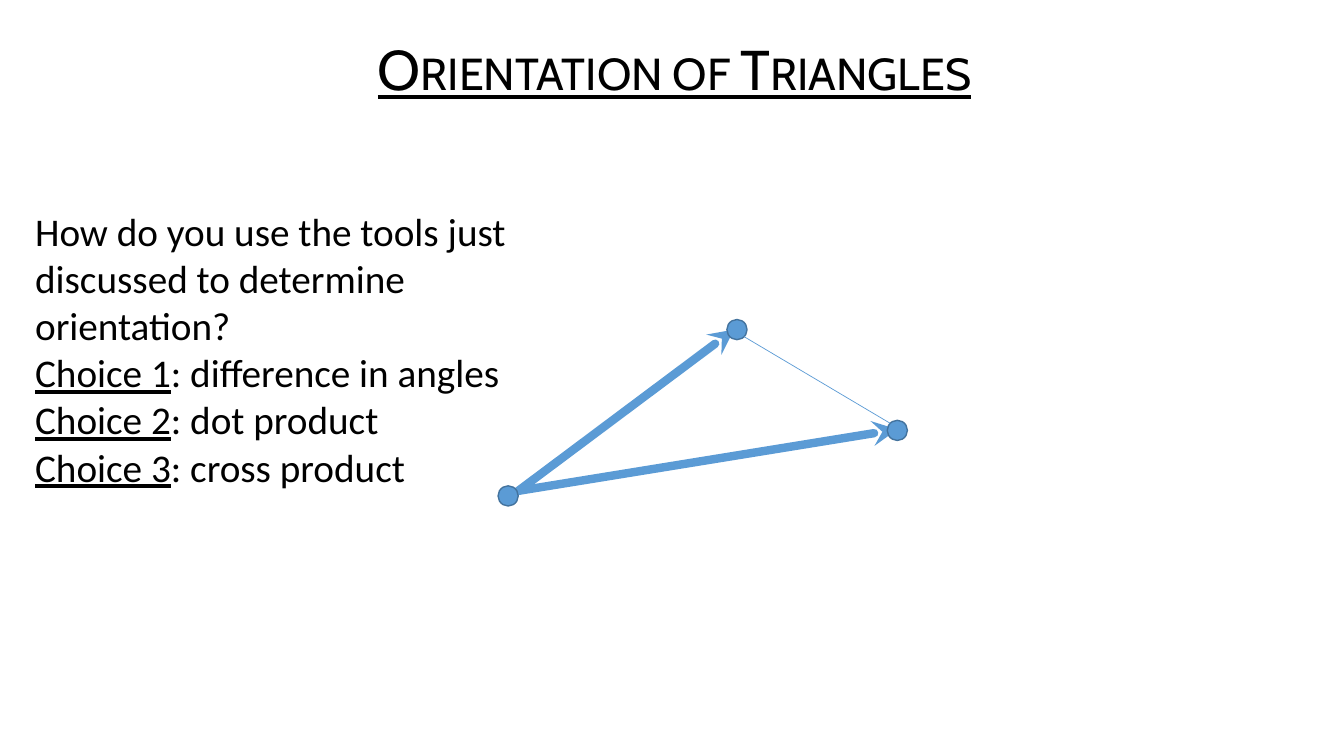
from dataclasses import dataclass

from lxml import etree
from pptx import Presentation
from pptx.dml.color import RGBColor
from pptx.enum import shapes, text
from pptx.oxml.ns import qn
from pptx.util import Inches, Pt


@dataclass(frozen=True)
class Theme:
    ink: RGBColor = RGBColor.from_string("000000")
    blue: RGBColor = RGBColor.from_string("5B9BD5")
    outline: RGBColor = RGBColor.from_string("43739E")
    title_font: str = "Cabin"
    body_font: str = "Calibri"
    title_size: int = 40
    body_size: int = 28
    vector_width: float = 6
    edge_width: float = 0.5
    dot_line: float = 1


THEME = Theme()

TITLE = "Orientation of Triangles"
QUESTION = [
    [("How do you use the tools just discussed to determine orientation?", False)],
    [("Choice 1", True), (": difference in angles", False)],
    [("Choice 2", True), (": dot product", False)],
    [("Choice 3", True), (": cross product", False)],
]

DOT_SIZE = 0.2
VERTICES = [(5.04, 4.92), (7.31, 3.27), (8.9, 4.27)]
VECTOR_START = (5.14, 4.87)
VECTOR_ENDS = [(7.28, 3.27), (8.9, 4.26)]
EDGE = ((7.38, 3.34), (8.83, 4.2))


def add_run(paragraph, words, font_name, size, underline):
    run = paragraph.add_run()
    run.text = words
    run.font.name = font_name
    run.font.size = Pt(size)
    run.font.color.rgb = THEME.ink
    run.font.underline = underline
    return run


def add_title(slide):
    title = slide.shapes.title
    title.left, title.top = Inches(1.77), Inches(0.29)
    title.width, title.height = Inches(9.84), Inches(0.85)
    frame = title.text_frame
    frame.word_wrap = True
    frame.auto_size = text.MSO_AUTO_SIZE.NONE
    frame.vertical_anchor = text.MSO_ANCHOR.MIDDLE
    paragraph = frame.paragraphs[0]
    paragraph.alignment = text.PP_ALIGN.CENTER
    paragraph.line_spacing = 0.9
    run = add_run(paragraph, TITLE, THEME.title_font, THEME.title_size, True)
    run.font._element.set("cap", "small")


def add_question(slide):
    box = slide.shapes.add_textbox(Inches(0.25), Inches(2.01), Inches(4.89), Inches(2.93))
    frame = box.text_frame
    frame.word_wrap = True
    frame.auto_size = text.MSO_AUTO_SIZE.SHAPE_TO_FIT_TEXT
    for index, runs in enumerate(QUESTION):
        paragraph = frame.add_paragraph() if index else frame.paragraphs[0]
        for words, underline in runs:
            add_run(paragraph, words, THEME.body_font, THEME.body_size, underline)


def add_line(slide, start, end, width, arrow=False):
    points = [Inches(value) for value in (*start, *end)]
    line = slide.shapes.add_connector(shapes.MSO_CONNECTOR.STRAIGHT, *points)
    line.line.color.rgb = THEME.blue
    line.line.width = Pt(width)
    properties = line._element.spPr
    if arrow:
        stroke = properties.find(qn("a:ln"))
        stroke.set("cap", "rnd")
        etree.SubElement(stroke, qn("a:tailEnd"), type="stealth")
    etree.SubElement(properties, qn("a:effectLst"))


def add_dot(slide, x, y):
    dot = slide.shapes.add_shape(
        shapes.MSO_SHAPE.OVAL,
        Inches(x - DOT_SIZE / 2),
        Inches(y - DOT_SIZE / 2),
        Inches(DOT_SIZE),
        Inches(DOT_SIZE),
    )
    dot.shadow.inherit = False
    dot.fill.solid()
    dot.fill.fore_color.rgb = THEME.blue
    dot.line.color.rgb = THEME.outline
    dot.line.width = Pt(THEME.dot_line)


def main():
    presentation = Presentation()
    presentation.slide_width = Inches(13.33)
    presentation.slide_height = Inches(7.5)
    slide = presentation.slides.add_slide(presentation.slide_layouts[5])
    add_title(slide)
    for end in VECTOR_ENDS:
        add_line(slide, VECTOR_START, end, THEME.vector_width, arrow=True)
    for x, y in VERTICES:
        add_dot(slide, x, y)
    add_line(slide, *EDGE, THEME.edge_width)
    add_question(slide)
    presentation.save("out.pptx")


if __name__ == "__main__":
    main()
